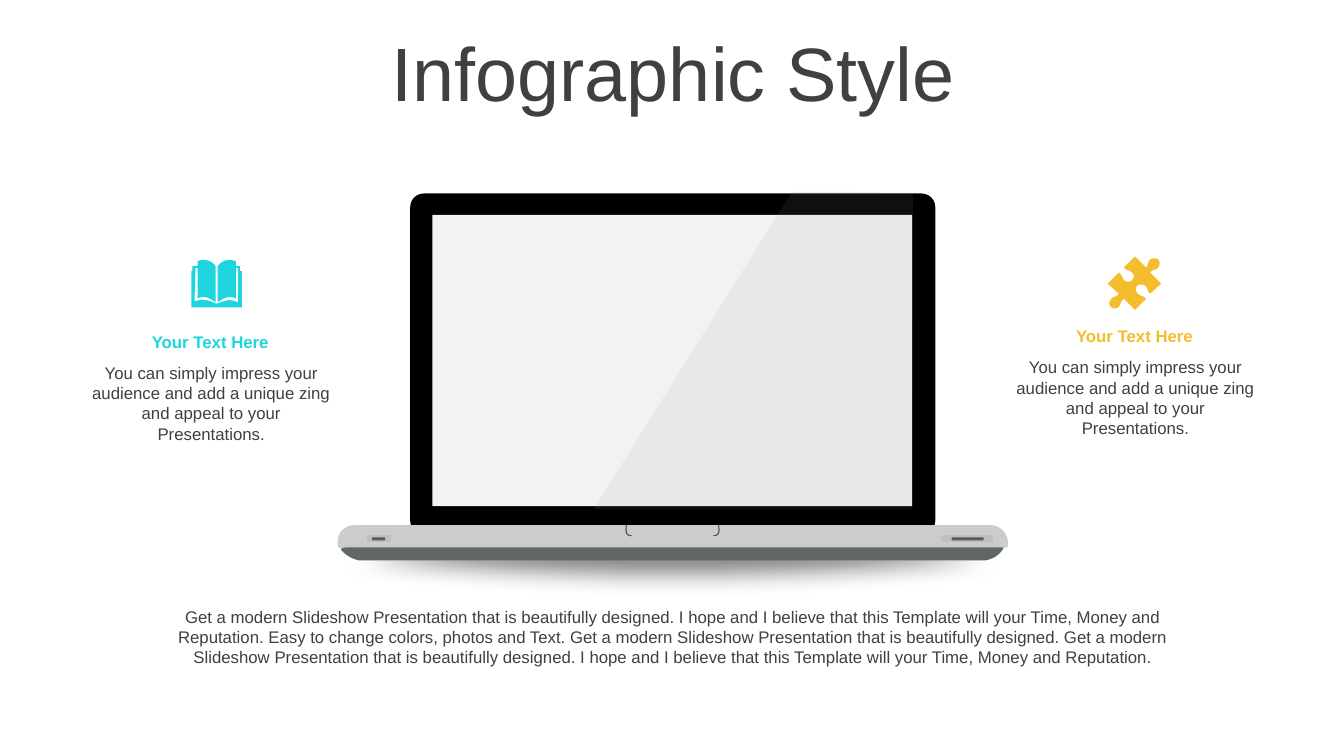
from lxml import etree
from pptx import Presentation
from pptx.dml.color import RGBColor
from pptx.enum.shapes import MSO_SHAPE
from pptx.enum.text import MSO_ANCHOR, MSO_AUTO_SIZE, PP_ALIGN
from pptx.oxml.ns import qn
from pptx.util import Pt

RECTANGLE, ROUNDED, OVAL = MSO_SHAPE.RECTANGLE, MSO_SHAPE.ROUNDED_RECTANGLE, MSO_SHAPE.OVAL
CENTER, MIDDLE, NO_AUTOFIT = PP_ALIGN.CENTER, MSO_ANCHOR.MIDDLE, MSO_AUTO_SIZE.NONE

THEME = {
    "font": "Arial", "title_size": 54, "body_size": 12,
    "text": "404040", "cyan": "1ED4DE", "amber": "F4BD2D",
    "shadow": "808080", "bezel": "000000", "screen": "F2F2F2", "glare": "999999",
    "base": "CCCCCC", "underside": "5F6767", "notch": "4D4D4D",
    "port": "BFBFBF", "slot": "595959",
}

TITLE = "Infographic Style"
HEADING = "Your Text Here"
BLURB = "You can simply impress your audience and add a unique zing and appeal to your Presentations."
SUMMARY = (
    "Get a modern Slideshow Presentation that is beautifully designed. "
    "I hope and I believe that this Template will your Time, Money and Reputation. "
    "Easy to change colors, photos and Text. "
    "Get a modern Slideshow Presentation that is beautifully designed. "
    "Get a modern Slideshow Presentation that is beautifully designed. "
    "I hope and I believe that this Template will your Time, Money and Reputation."
)

BOOK = [
    (24, 43), (26, 43), (34, 40, 38, 38, 46, 42), (46, 8), (44, 8), (44, 38),
    (38, 35, 32, 37, 26, 42), (26, 6), (29, 2, 33, 0, 37, 0), (39, 0, 41, 0, 44, 1),
    (44, 6), (48, 6), (48, 11), (50, 11), (50, 47), (0, 47), (0, 11), (1, 11), (1, 6),
    (6, 6), (6, 1), (8, 0, 11, 0, 13, 0), (17, 0, 21, 2, 24, 6), (24, 42),
    (18, 37, 12, 35, 6, 38), (6, 8), (4, 8), (3, 41), (12, 38, 17, 40, 24, 43),
]
PUZZLE = [
    (50, 3), (52, 5, 52, 8, 50, 11), (48, 14, 45, 12, 42, 16), (53, 27), (42, 37),
    (39, 34, 40, 31, 37, 29), (35, 27, 31, 28, 29, 29), (28, 31, 27, 35, 30, 37),
    (33, 40, 34, 38, 38, 42), (27, 53), (16, 42), (12, 45, 14, 46, 11, 50),
    (9, 52, 5, 52, 3, 50), (1, 48, 1, 45, 3, 43), (5, 39, 8, 41, 11, 37), (0, 27),
    (11, 16), (15, 19, 14, 22, 17, 24), (19, 26, 22, 25, 24, 24),
    (26, 21, 27, 18, 24, 16), (21, 13, 20, 15, 16, 11), (27, 0), (38, 11),
    (41, 8, 39, 7, 42, 3), (45, 1, 49, 2, 50, 3),
]
ICON_SCALE = 0.72

FEATURES = [
    {"left": 56.2, "top": 233.3, "color": "cyan", "icon": BOOK, "icon_at": (136.8, 185.8)},
    {"left": 716.4, "top": 229.3, "color": "amber", "icon": PUZZLE, "icon_at": (791.3, 183.2)},
]

UNDERSIDE = [
    (703.4, 400.3), (703.4, 400.3, 712.8, 399.6, 717.1, 391), (712.8, 386.6),
    (248.4, 388), (243.4, 392.4), (247, 397.4, 253.4, 399.6, 256.3, 400.3),
]
BASE = [
    (253.4, 375.1), (707.8, 375.1), (714.2, 375.1, 720, 380.9, 720, 387.4),
    (720, 389.5), (720, 389.5, 720.7, 391.7, 715.7, 391), (247, 391),
    (243.4, 391.7, 241.2, 391.7, 241.2, 389.5), (241.2, 387.4),
    (241.2, 380.2, 246.2, 375.1, 253.4, 375.1),
]
NOTCH_LEFT = [
    (447.1, 375.1), (447.8, 375.1), (447.1, 381, 448.3, 382.2, 451.4, 382.4),
    (451.4, 383), (447.3, 383, 446.2, 380.9, 447.1, 375.1),
]
NOTCH_CENTER = 480.4
GLARE = [(565.9, 136.8), (652.3, 137.5), (651.6, 363.6), (424.1, 363.6)]
PORTS = [
    ("port", 262.1, 382.3, 17.3, 5), ("slot", 265.7, 383.8, 9.4, 2.2),
    ("port", 672.5, 382.3, 36.7, 5), ("slot", 679.7, 383.8, 23, 2.2),
]


def paint(shape, color):
    shape.shadow.inherit = False
    shape.fill.solid()
    shape.fill.fore_color.rgb = RGBColor.from_string(THEME[color])
    shape.line.fill.background()
    return shape


def add_preset(slide, preset, color, left, top, width, height):
    return paint(slide.shapes.add_shape(preset, Pt(left), Pt(top), Pt(width), Pt(height)), color)


def flatten(outline, steps=10):
    points = [outline[0]]
    for segment in outline[1:]:
        if len(segment) == 2:
            points.append(segment)
            continue
        controls = (points[-1], segment[:2], segment[2:4], segment[4:])
        for step in range(1, steps + 1):
            t = step / steps
            weights = ((1 - t) ** 3, 3 * t * (1 - t) ** 2, 3 * t * t * (1 - t), t ** 3)
            points.append(tuple(sum(w * c[axis] for w, c in zip(weights, controls)) for axis in (0, 1)))
    return points


def add_outline(slide, outline, color, at=(0, 0), scale=1):
    points = [(Pt(at[0] + x * scale), Pt(at[1] + y * scale)) for x, y in flatten(outline)]
    builder = slide.shapes.build_freeform(*points[0])
    builder.add_line_segments(points[1:], close=True)
    return paint(builder.convert_to_shape(), color)


def write(frame, text, size, color="text", bold=False):
    frame.word_wrap = True
    frame.text = text
    paragraph = frame.paragraphs[0]
    paragraph.alignment = CENTER
    font = paragraph.font
    font.name, font.size, font.bold = THEME["font"], Pt(size), bold
    font.color.rgb = RGBColor.from_string(THEME[color])


def add_text(slide, text, left, top, width, height, **style):
    box = slide.shapes.add_textbox(Pt(left), Pt(top), Pt(width), Pt(height))
    write(box.text_frame, text, THEME["body_size"], **style)


def add_laptop(slide):
    shadow = add_preset(slide, OVAL, "shadow", 190.8, 367.9, 578.9, 58.3)
    effects = shadow.element.spPr.find(qn("a:effectLst"))
    etree.SubElement(effects, qn("a:softEdge"), rad=str(Pt(17.5)))
    add_outline(slide, UNDERSIDE, "underside")
    bezel = add_preset(slide, ROUNDED, "bezel", 293, 138.2, 375.1, 243.4)
    bezel.adjustments[0] = 0.04
    add_preset(slide, RECTANGLE, "screen", 308.9, 153.4, 342.7, 208.1)
    add_outline(slide, BASE, "base")
    add_outline(slide, NOTCH_LEFT, "notch")
    mirrored = [
        tuple(2 * NOTCH_CENTER - v if i % 2 == 0 else v for i, v in enumerate(segment))
        for segment in NOTCH_LEFT
    ]
    add_outline(slide, mirrored, "notch")
    for port in PORTS:
        add_preset(slide, ROUNDED, *port).adjustments[0] = 0.28
    glare = add_outline(slide, GLARE, "glare")
    tint = glare.element.spPr.find(qn("a:solidFill"))[0]
    etree.SubElement(tint, qn("a:alpha"), val="10000")


def add_feature(slide, feature):
    left, top, color = feature["left"], feature["top"], feature["color"]
    add_text(slide, BLURB, left, top + 22.3, 189.4, 65.5)
    add_text(slide, HEADING, left, top, 187.9, 21.6, color=color, bold=True)
    add_outline(slide, feature["icon"], color, feature["icon_at"], ICON_SCALE)


def main():
    deck = Presentation()
    deck.slide_width, deck.slide_height = Pt(960), Pt(540)
    slide = deck.slides.add_slide(deck.slide_layouts[5])
    title = slide.shapes.title
    title.left, title.top, title.width, title.height = Pt(25.2), Pt(26.6), Pt(911.5), Pt(56.9)
    write(title.text_frame, TITLE, THEME["title_size"])
    title.text_frame.auto_size = NO_AUTOFIT
    title.text_frame.vertical_anchor = MIDDLE
    title.text_frame.paragraphs[0].line_spacing = 0.9
    add_laptop(slide)
    for feature in FEATURES:
        add_feature(slide, feature)
    add_text(slide, SUMMARY, 111.6, 429.8, 738.7, 51.1)
    deck.save("out.pptx")


if __name__ == "__main__":
    main()
